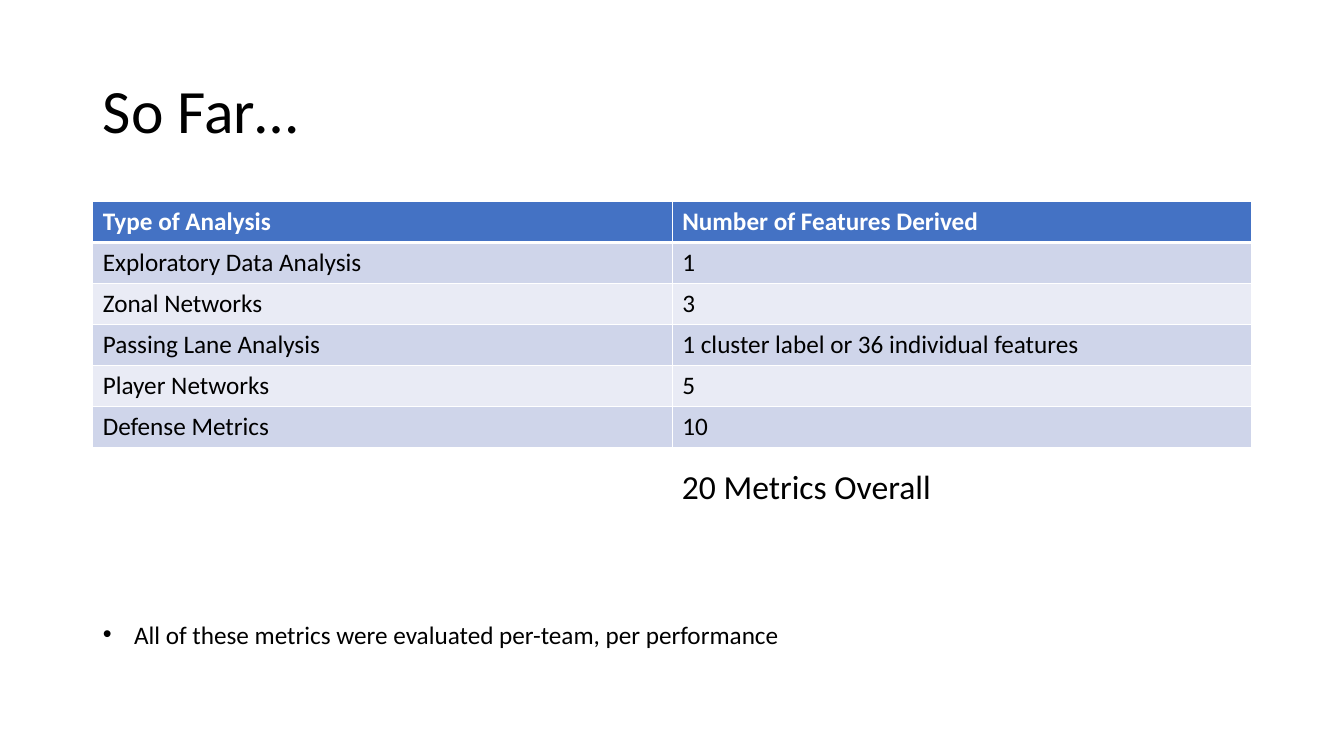
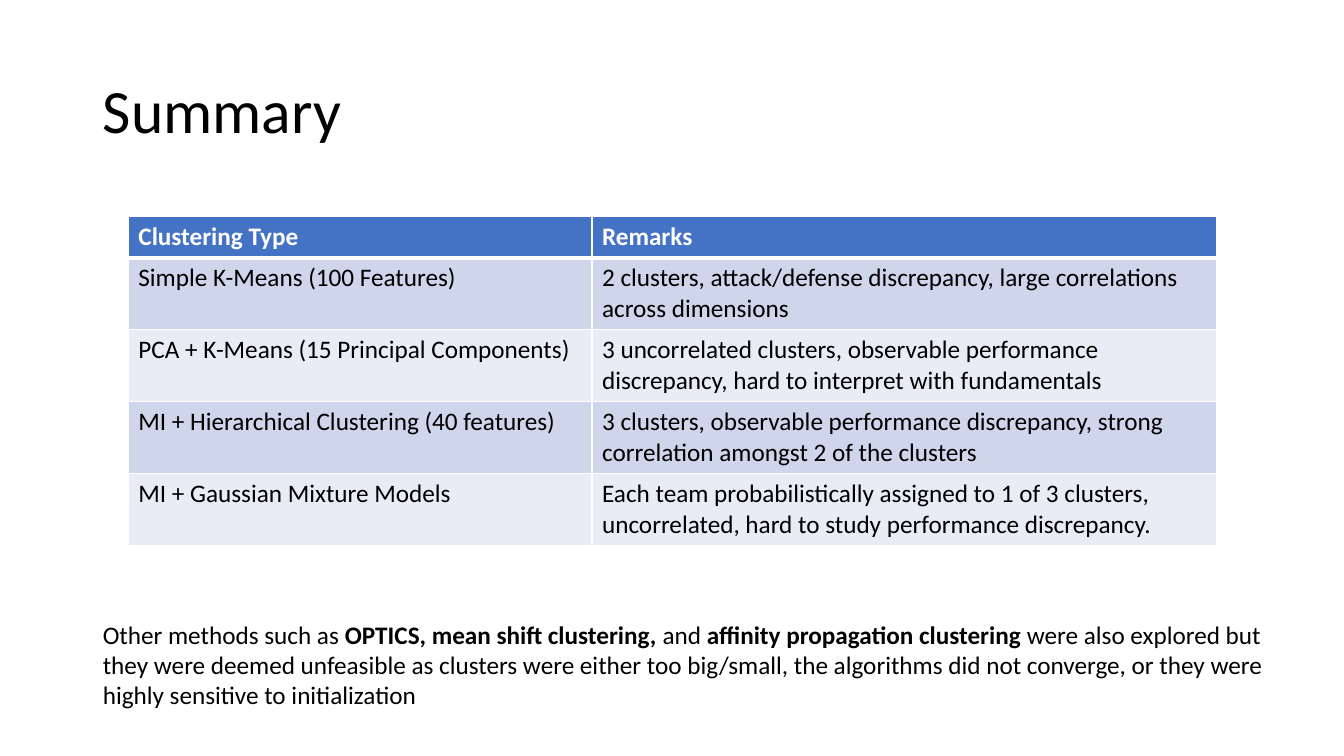
from lxml.etree import SubElement as Sub
from pptx import Presentation as Deck
from pptx.dml.color import RGBColor as Rgb
from pptx.enum.text import MSO_ANCHOR as Anchor, MSO_AUTO_SIZE as Fit, PP_ALIGN as Align
from pptx.oxml.ns import qn
from pptx.util import Inches, Pt

WIDE, HIGH = Inches(13.33), Inches(7.5)
FONT = "Calibri"
INK, PAPER, HEAD = "000000", "FFFFFF", "4472C4"
BANDS = ("CFD5EA", "E9EBF5")
LEFT, SPAN = 6.9, 86.25
NOTE_TOP = 81.2
ROW = 5.42
TALL = 9.53


def color(hue):
    """Turn a hex string into a colour."""
    return Rgb.from_string(hue)


def across(share):
    """Give a percentage of the slide's width."""
    return int(WIDE * share / 100)


def down(share):
    """Give a percentage of the slide's height."""
    return int(HIGH * share / 100)


def place(shape, x, y, w, h):
    """Move a shape to a place given in percentages."""
    shape.left, shape.top = across(x), down(y)
    shape.width, shape.height = across(w), down(h)


def write(para, runs, size, hue=INK):
    """Add (text, bold) runs to a paragraph."""
    for text, bold in runs:
        run = para.add_run()
        run.text = text
        font = run.font
        font.name, font.size, font.bold = FONT, Pt(size), bold
        font.color.rgb = color(hue)


def start(deck, text):
    """Add a slide with its title."""
    slide = deck.slides.add_slide(deck.slide_layouts[1])
    title = slide.shapes.title
    place(title, LEFT, 5.33, SPAN, 19.33)
    title.text_frame.vertical_anchor = Anchor.MIDDLE
    para = title.text_frame.paragraphs[0]
    para.alignment, para.line_spacing = Align.LEFT, 0.9
    write(para, [(text, False)], 44)
    return slide


def note(slide, runs, w, h, dent=0):
    """Fill the body with one paragraph, bulleted if it is indented."""
    body = slide.placeholders[1]
    place(body, LEFT, NOTE_TOP, w, h)
    frame = body.text_frame
    frame.auto_size, frame.vertical_anchor = Fit.NONE, Anchor.TOP
    para = frame.paragraphs[0]
    para.space_before = Pt(0)
    props = para._p.get_or_add_pPr()
    props.set("marL", str(Inches(dent)))
    props.set("indent", str(-Inches(dent)))
    if dent:
        Sub(props, qn("a:buFont"), typeface="Arial")
        Sub(props, qn("a:buChar"), char="•")
    else:
        Sub(props, qn("a:buNone"))
    write(para, runs, 18)


def label(slide, text, x, y, w, h):
    """Add a line of large text."""
    box = slide.shapes.add_textbox(across(x), down(y), across(w), down(h))
    box.text_frame.word_wrap = True
    write(box.text_frame.paragraphs[0], [(text, False)], 24)


def edge(cell, side, width):
    """Draw one border of a cell."""
    props = cell._tc.get_or_add_tcPr()
    line = Sub(props, qn("a:ln" + side), w=str(Pt(width)))
    Sub(Sub(line, qn("a:solidFill")), qn("a:srgbClr"), val=PAPER)


def grid(slide, data, x, y, cols, tall):
    """Add a table with a header and banded rows."""
    rows = [ROW] + [tall] * (len(data) - 1)
    table = slide.shapes.add_table(
        len(rows), len(cols), across(x), down(y), across(sum(cols)), down(sum(rows))
    ).table
    for col, share in zip(table.columns, cols):
        col.width = across(share)
    for r, (texts, share) in enumerate(zip(data, rows)):
        table.rows[r].height = down(share)
        top = r == 0
        for c, text in enumerate(texts):
            cell = table.cell(r, c)
            for side in "LRTB":
                thick = (top and side == "B") or (r == 1 and side == "T")
                edge(cell, side, 3 if thick else 1)
            cell.fill.solid()
            cell.fill.fore_color.rgb = color(HEAD if top else BANDS[(r - 1) % 2])
            write(cell.text_frame.paragraphs[0], [(text, top)], 18, PAPER if top else INK)


def so_far(deck):
    """Build the slide that counts the features."""
    slide = start(deck, "So Far…")
    grid(slide, [
        ("Type of Analysis", "Number of Features Derived"),
        ("Exploratory Data Analysis", "1"),
        ("Zonal Networks", "3"),
        ("Passing Lane Analysis", "1 cluster label or 36 individual features"),
        ("Player Networks", "5"),
        ("Defense Metrics", "10"),
    ], LEFT, 26.67, [SPAN / 2] * 2, ROW)
    label(slide, "20 Metrics Overall", 50, 60.93, 20.56, 6.67)
    text = "All of these metrics were evaluated per-team, per performance"
    note(slide, [(text, False)], 89.2, 5.33, 0.31)


def summary(deck):
    """Build the slide that compares the clusterings."""
    slide = start(deck, "Summary")
    grid(slide, [
        ("Clustering Type", "Remarks"),
        ("Simple K-Means (100 Features)",
         "2 clusters, attack/defense discrepancy, large correlations across dimensions"),
        ("PCA + K-Means (15 Principal Components)",
         "3 uncorrelated clusters, observable performance discrepancy, "
         "hard to interpret with fundamentals"),
        ("MI + Hierarchical Clustering (40 features)",
         "3 clusters, observable performance discrepancy, "
         "strong correlation amongst 2 of the clusters"),
        ("MI + Gaussian Mixture Models",
         "Each team probabilistically assigned to 1 of 3 clusters, "
         "uncorrelated, hard to study performance discrepancy."),
    ], 9.55, 28.67, [34.5, 46.44], TALL)
    note(slide, [
        ("Other methods such as ", False),
        ("OPTICS, mean shift clustering, ", True),
        ("and", False),
        (" affinity propagation clustering ", True),
        ("were also explored but they were deemed unfeasible as clusters were "
         "either too big/small, the algorithms did not converge, or they were "
         "highly sensitive to initialization", False),
    ], 88.82, 13.47)


def main():
    """Build and save the deck."""
    deck = Deck()
    deck.slide_width, deck.slide_height = WIDE, HIGH
    so_far(deck)
    summary(deck)
    deck.save("out.pptx")


if __name__ == "__main__":
    main()
